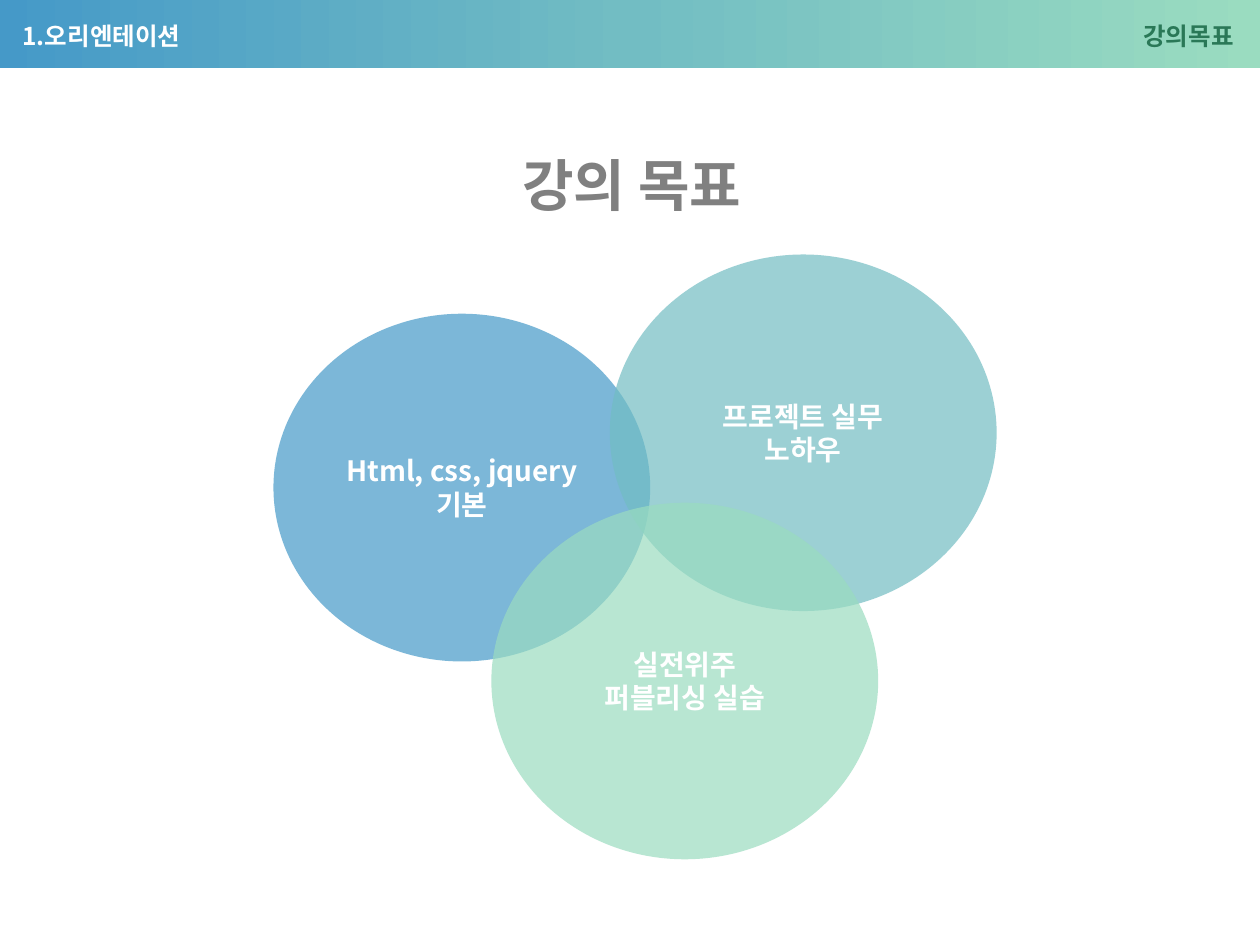
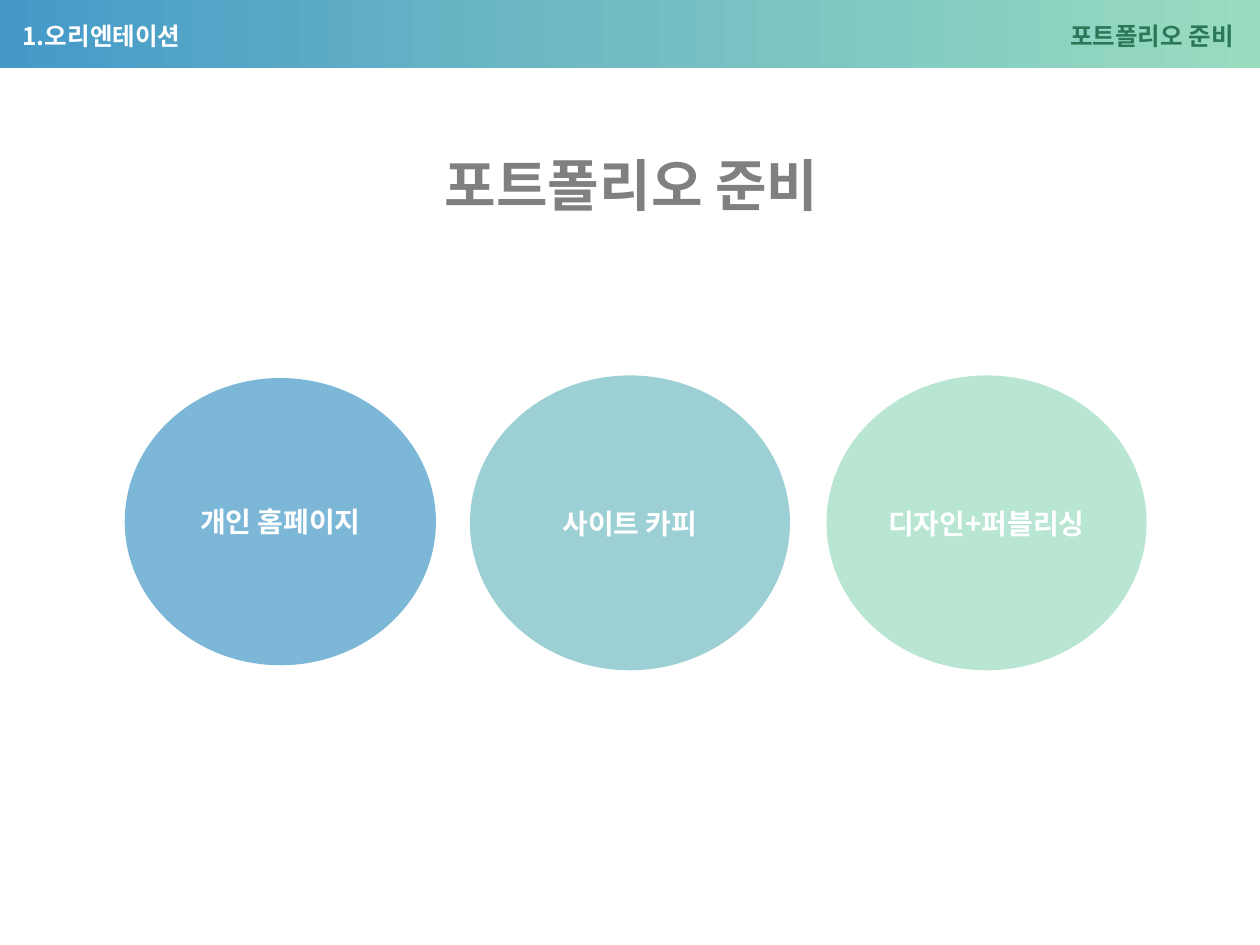
from copy import deepcopy

from lxml import etree
from pptx import Presentation
from pptx.dml.color import RGBColor
from pptx.enum.shapes import MSO_SHAPE
from pptx.enum.text import MSO_ANCHOR, PP_ALIGN
from pptx.oxml.ns import qn
from pptx.util import Inches, Pt

RECT, OVAL = MSO_SHAPE.RECTANGLE, MSO_SHAPE.OVAL
LEFT, CENTER, RIGHT = PP_ALIGN.LEFT, PP_ALIGN.CENTER, PP_ALIGN.RIGHT
MIDDLE = MSO_ANCHOR.MIDDLE

# Shared style
FONT = "Noto Sans CJK KR"
BLUE, TEAL, MINT = PALETTE = ("4599C8", "72BDC3", "9ADCC0")
WHITE, GRAY, GREEN = "FFFFFF", "808080", "2A7857"
CIRCLE_OPACITY = 70
CHAPTER = "1.오리엔테이션"


def rgb(value):
    return RGBColor.from_string(value)


def write(shape, lines, size, color, align):
    """Fill a shape with bold lines, one paragraph each."""
    tf = shape.text_frame
    tf.word_wrap = True
    tf.vertical_anchor = MIDDLE
    tf.text = "\n".join(lines)
    for p in tf.paragraphs:
        p.alignment = align
        p.font.size = Pt(size)
        p.font.bold = True
        p.font.name = FONT
        p.font.color.rgb = rgb(color)
        # Korean glyphs take the East Asian typeface
        props = p._p.pPr.find(qn("a:defRPr"))
        etree.SubElement(props, qn("a:ea"), typeface=FONT)


def add_label(slide, box, text, size, color, align):
    sp = slide.shapes.add_textbox(*map(Inches, box))
    write(sp, [text], size, color, align)


def add_plain_shape(slide, kind, box):
    sp = slide.shapes.add_shape(kind, *map(Inches, box))
    sp.shadow.inherit = False
    sp.line.fill.background()
    return sp


def add_band(slide):
    """Three-colour gradient across the top."""
    sp = add_plain_shape(slide, RECT, (0, 0, 10, 0.54))
    sp.fill.gradient()
    sp.fill.gradient_angle = 0
    stops = sp._element.find(".//" + qn("a:gsLst"))
    stops.insert(1, deepcopy(stops[0]))
    for i, (stop, color) in enumerate(zip(sp.fill.gradient_stops, PALETTE)):
        stop.position = i / 2
        stop.color.rgb = rgb(color)


def add_circle(slide, box, color, lines):
    """Translucent ellipse with centred text."""
    sp = add_plain_shape(slide, OVAL, box)
    sp.fill.solid()
    sp.fill.fore_color.rgb = rgb(color)
    fill_color = sp._element.spPr.find(qn("a:solidFill"))[0]
    etree.SubElement(fill_color, qn("a:alpha"), val=str(CIRCLE_OPACITY * 1000))
    sp.text_frame.margin_left = sp.text_frame.margin_right = 0
    write(sp, lines, 16, WHITE, CENTER)


def add_circle_slide(prs, topic, heading, circles):
    slide = prs.slides.add_slide(prs.slide_layouts[6])
    # Header
    add_band(slide)
    add_label(slide, (0.08, 0.05, 4.61, 0.46), CHAPTER, 14, WHITE, LEFT)
    add_label(slide, (5.47, 0.05, 4.42, 0.46), topic, 14, GREEN, RIGHT)
    # Heading and circles
    add_label(slide, (0.83, 1.23, 8.37, 0.46), heading, 32, GRAY, CENTER)
    for color, (box, lines) in zip(PALETTE, circles):
        add_circle(slide, box, color, lines)


def main():
    prs = Presentation()
    prs.slide_width, prs.slide_height = Inches(10), Inches(7.5)

    # Course goals: overlapping circles
    add_circle_slide(prs, "강의목표", "강의 목표", [
        ((2.17, 2.49, 2.99, 2.76), ["Html, css, jquery", "기본"]),
        ((4.84, 2.02, 3.07, 2.83), ["프로젝트 실무", "노하우"]),
        ((3.9, 3.99, 3.07, 2.83), ["실전위주", "퍼블리싱 실습"]),
    ])

    # Portfolio: circles in a row
    add_circle_slide(prs, "포트폴리오 준비", "포트폴리오 준비", [
        ((0.99, 3, 2.47, 2.28), ["개인 홈페이지"]),
        ((3.73, 2.98, 2.54, 2.34), ["사이트 카피"]),
        ((6.56, 2.98, 2.54, 2.34), ["디자인+퍼블리싱"]),
    ])

    prs.save("out.pptx")


main()
